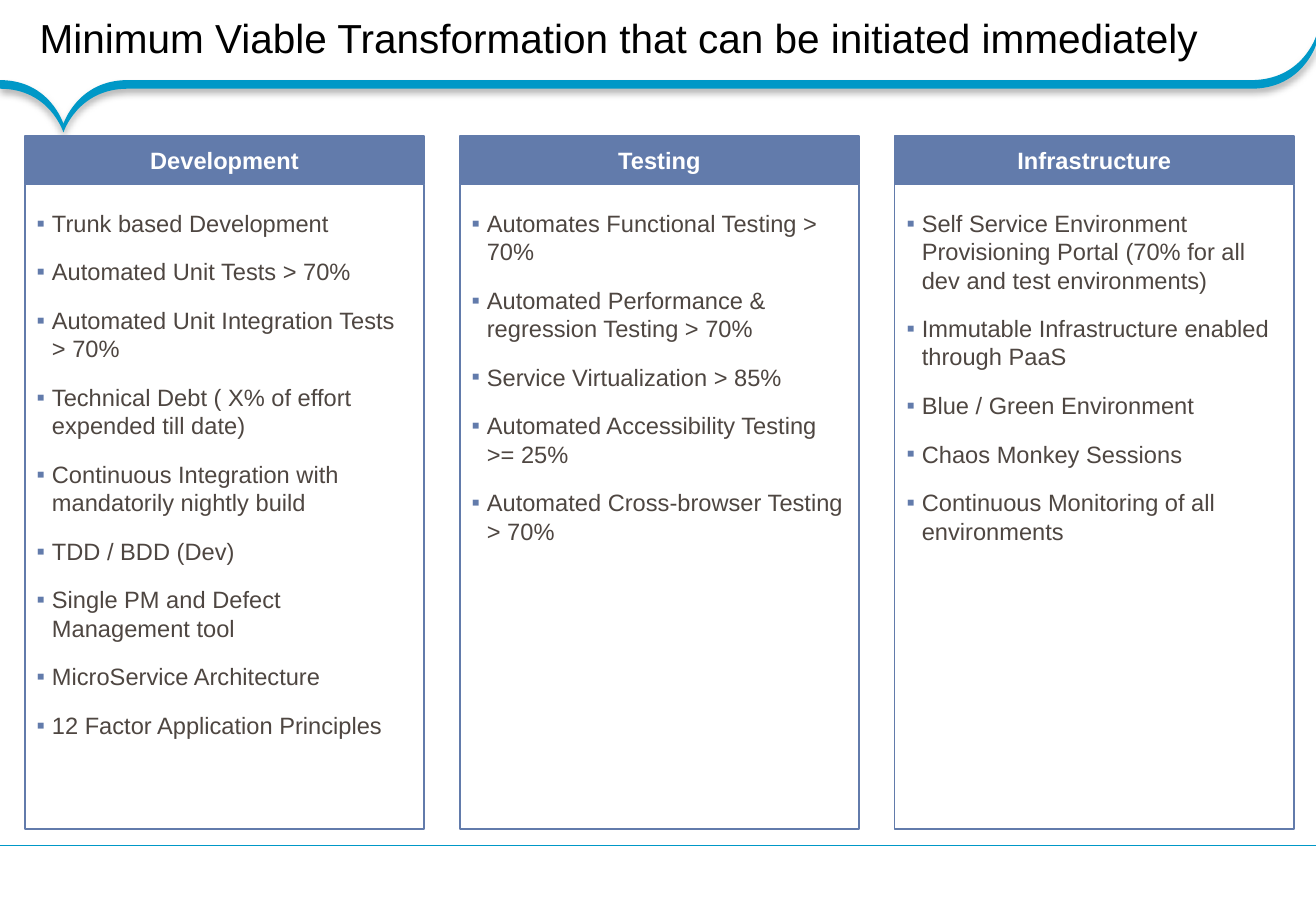
"""Build the Minimum Viable Transformation slide with its three columns."""
from lxml import etree
from pptx import Presentation
from pptx import util as u
from pptx.dml.color import RGBColor
from pptx.enum import shapes, text
from pptx.oxml import ns

BLACK = RGBColor(0x00, 0x00, 0x00)
WHITE = RGBColor(0xFF, 0xFF, 0xFF)
CYAN = RGBColor(0x00, 0x98, 0xC7)
SLATE = RGBColor(0x62, 0x7B, 0xAB)
BROWN = RGBColor(0x4E, 0x46, 0x41)

WIDTH, HEIGHT = 780, 540
COLUMN_LEFT, COLUMN_WIDTH, COLUMN_STEP = 14.7, 236.8, 257.8
HEADER_TOP, HEADER_HEIGHT, BODY_HEIGHT = 80.5, 28.8, 382.2
RIBBON_THICKNESS = 5.1
COLUMNS = {
    "Development": [
        "Trunk based Development",
        "Automated Unit Tests > 70%",
        "Automated Unit Integration Tests > 70%",
        "Technical Debt ( X% of effort expended till date)",
        "Continuous Integration with mandatorily nightly build",
        "TDD / BDD (Dev)",
        "Single PM and Defect Management tool",
        "MicroService Architecture",
        "12 Factor Application Principles",
    ],
    "Testing": [
        "Automates Functional Testing > 70%",
        "Automated Performance & regression Testing > 70%",
        "Service Virtualization > 85%",
        "Automated Accessibility Testing >= 25%",
        "Automated Cross-browser Testing > 70%",
    ],
    "Infrastructure": [
        "Self Service Environment Provisioning Portal (70% for all dev and test environments)",
        "Immutable Infrastructure enabled through PaaS",
        "Blue / Green Environment",
        "Chaos Monkey Sessions",
        "Continuous Monitoring of all environments",
    ],
}


def set_frame(box, anchor, left, top, right, bottom):
    """Wrap the text of a box, set its anchor and margins, and return its frame."""
    frame = box.text_frame
    frame.word_wrap = True
    frame.vertical_anchor = anchor
    frame.margin_left, frame.margin_top = u.Pt(left), u.Pt(top)
    frame.margin_right, frame.margin_bottom = u.Pt(right), u.Pt(bottom)
    return frame


def add_span(para, words, size, color, bold=False):
    """Add one run of Arial text to a paragraph."""
    span = para.add_run()
    span.text = words
    span.font.name = "Arial"
    span.font.size = u.Pt(size)
    span.font.bold = bold
    span.font.color.rgb = color


deck = Presentation()
deck.slide_width, deck.slide_height = u.Pt(WIDTH), u.Pt(HEIGHT)
page = deck.slides.add_slide(deck.slide_layouts[6])

top_edge = [
    (0, 47.5),
    (29.5, 47.5), (37.6, 73.4), (37.6, 73.4),
    (37.6, 73.4), (46, 47.5), (75.6, 47.5),
    (75.6, 47.5), (741.6, 47.5), (741.6, 47.5),
    (771.8, 47.5), (WIDTH, 21.6), (WIDTH, 21.6),
]
bottom_edge = [(x, y + RIBBON_THICKNESS) for x, y in reversed(top_edge)]
outline = [(u.Pt(x), u.Pt(y)) for x, y in top_edge + bottom_edge[:1] * 2 + bottom_edge]
builder = page.shapes.build_freeform(*outline[0])
builder.add_line_segments(outline[1:], close=True)
ribbon = builder.convert_to_shape()
segments = list(ribbon.element.iter(ns.qn("a:lnTo")))
for start in range(0, len(segments), 3):
    curve = etree.Element(ns.qn("a:cubicBezTo"))
    segments[start].addprevious(curve)
    for segment in segments[start:start + 3]:
        curve.append(segment[0])
        segment.getparent().remove(segment)
ribbon.fill.solid()
ribbon.fill.fore_color.rgb = CYAN
ribbon.line.fill.background()
ribbon.shadow.inherit = False
effects = ribbon.element.spPr.find(ns.qn("a:effectLst"))
shadow = etree.SubElement(effects, ns.qn("a:outerShdw"), blurRad=str(u.Pt(4)),
                          dist=str(u.Pt(2)), dir="5400000", rotWithShape="0")
shade = etree.SubElement(shadow, ns.qn("a:srgbClr"), val=str(BLACK))
etree.SubElement(shade, ns.qn("a:alpha"), val="31000")

footer_line = page.shapes.add_connector(
    shapes.MSO_CONNECTOR.STRAIGHT, u.Pt(WIDTH), u.Pt(501), u.Pt(0), u.Pt(501))
footer_line.line.color.rgb = CYAN
footer_line.line.width = u.Pt(0.75)
etree.SubElement(footer_line.element.spPr, ns.qn("a:effectLst"))

title = page.shapes.add_textbox(u.Pt(0), u.Pt(0), u.Pt(WIDTH), u.Pt(49))
para = set_frame(title, text.MSO_ANCHOR.MIDDLE, 23.5, 2.9, 13, 2.9).paragraphs[0]
para.line_spacing = 0.85
add_span(para, "Minimum Viable Transformation that can be initiated immediately", 24, BLACK)

for column, (heading, items) in enumerate(COLUMNS.items()):
    left = u.Pt(COLUMN_LEFT + column * COLUMN_STEP)
    body, header = [
        page.shapes.add_shape(shapes.MSO_SHAPE.RECTANGLE, left, u.Pt(top),
                              u.Pt(COLUMN_WIDTH), u.Pt(height))
        for top, height in ((HEADER_TOP + HEADER_HEIGHT, BODY_HEIGHT),
                            (HEADER_TOP, HEADER_HEIGHT))
    ]
    for box in (body, header):
        box.shadow.inherit = False
        box.line.color.rgb = SLATE
        box.line.width = u.Pt(1)
    body.fill.background()
    header.fill.solid()
    header.fill.fore_color.rgb = SLATE

    para = set_frame(header, text.MSO_ANCHOR.MIDDLE, 0, 3.6, 0, 3.6).paragraphs[0]
    para.alignment = text.PP_ALIGN.CENTER
    add_span(para, heading, 14, WHITE, bold=True)

    frame = set_frame(body, text.MSO_ANCHOR.TOP, 7.2, 14.4, 7.2, 3.6)
    for index, item in enumerate(items):
        para = frame.add_paragraph() if index else frame.paragraphs[0]
        para.level = 1
        para.alignment = text.PP_ALIGN.LEFT
        para.space_after = u.Pt(12)
        settings = para._p.get_or_add_pPr()
        settings.set("marL", str(u.Pt(9)))
        settings.set("indent", str(u.Pt(-9)))
        bullet_color = etree.SubElement(settings, ns.qn("a:buClr"))
        etree.SubElement(bullet_color, ns.qn("a:srgbClr"), val=str(SLATE))
        etree.SubElement(settings, ns.qn("a:buFont"), typeface="Arial")
        etree.SubElement(settings, ns.qn("a:buChar"), char="▪")
        add_span(para, item, 14, BROWN)

deck.save("out.pptx")
